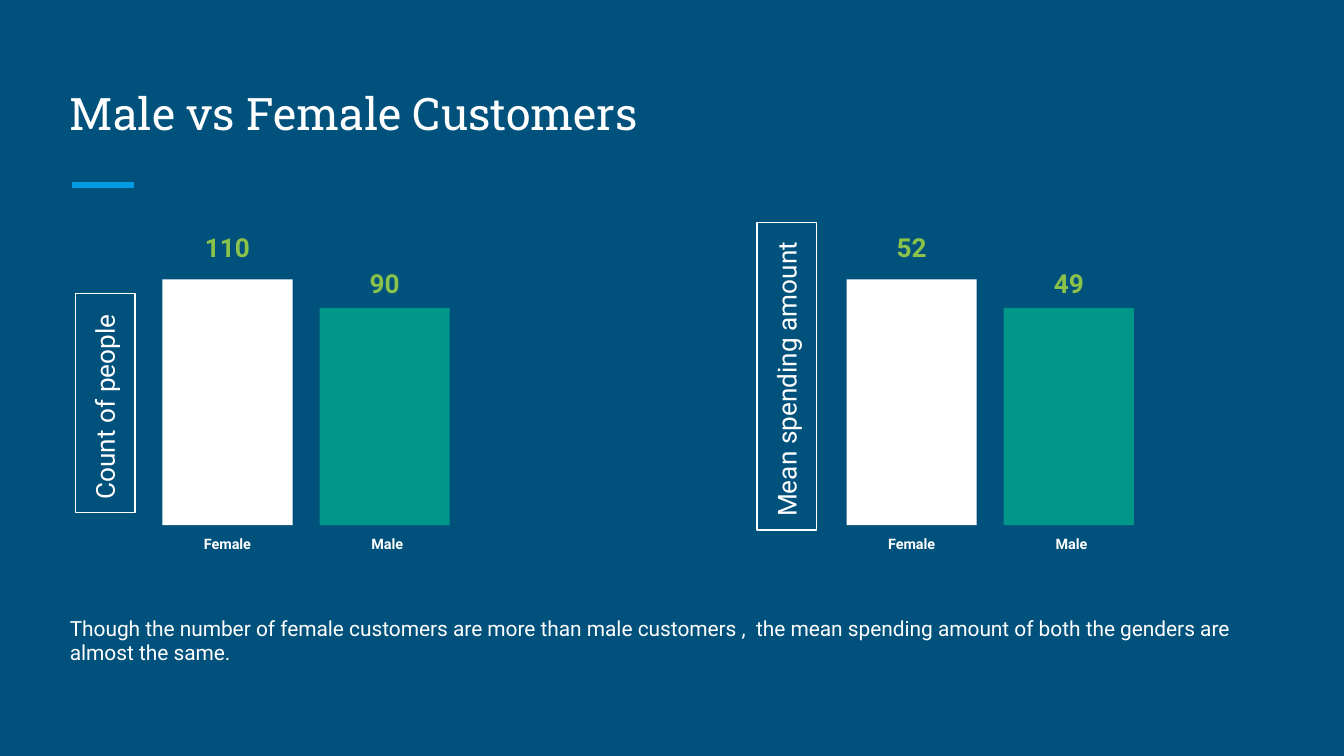
from dataclasses import dataclass

from lxml.etree import SubElement
from pptx import Presentation
from pptx.dml.color import RGBColor
from pptx.enum.shapes import MSO_CONNECTOR, MSO_SHAPE
from pptx.enum.text import MSO_ANCHOR, PP_ALIGN
from pptx.oxml.ns import qn
from pptx.util import Cm, Pt


@dataclass(frozen=True)
class Theme:
    background: str = "00517C"
    text: str = "FFFFFF"
    rule: str = "039BE5"
    value: str = "8BC34A"
    female: str = "FFFFFF"
    male: str = "009688"
    heading_font: str = "Roboto Slab"
    body_font: str = "Roboto"
    title_size: float = 24
    label_size: float = 14
    body_size: float = 11.2
    category_size: float = 7.7


@dataclass(frozen=True)
class Box:
    left: float
    top: float
    width: float
    height: float

    def lengths(self):
        return Cm(self.left), Cm(self.top), Cm(self.width), Cm(self.height)


@dataclass(frozen=True)
class Bar:
    name: str
    value: str
    height: float
    color: str
    value_height: float
    value_overlap: float
    value_spacing: float
    name_shift: float


THEME = Theme()
INSET = 0.25


def write(shape, text, size, color=THEME.text, font=THEME.body_font, bold=False,
          align=PP_ALIGN.LEFT, anchor=MSO_ANCHOR.TOP, spacing=1.0):
    frame = shape.text_frame
    frame.word_wrap = True
    frame.vertical_anchor = anchor
    frame.margin_left = frame.margin_right = Cm(INSET)
    frame.margin_top = frame.margin_bottom = Cm(INSET)
    para = frame.paragraphs[0]
    para.text = text
    para.alignment = align
    para.line_spacing = spacing
    para.font.name = font
    para.font.size = Pt(size)
    para.font.bold = bold
    para.font.color.rgb = RGBColor.from_string(color)
    return para


def add_text(page, box, text, size, **style):
    return write(page.shapes.add_textbox(*box.lengths()), text, size, **style)


def add_heading(page, box):
    add_text(page, box, "Male vs Female Customers", THEME.title_size,
             font=THEME.heading_font, anchor=MSO_ANCHOR.BOTTOM)
    left, top = box.left + 0.3, box.top + 2.51
    rule = page.shapes.add_connector(
        MSO_CONNECTOR.STRAIGHT, Cm(left), Cm(top), Cm(left + 1.17), Cm(top))
    rule.line.color.rgb = RGBColor.from_string(THEME.rule)
    rule.line.width = Pt(3)
    SubElement(rule.element.spPr, qn("a:effectLst"))


def add_axis_label(page, box, text):
    width, height = box.height, box.width
    flat = Box(box.left + (box.width - width) / 2,
               box.top + (box.height - height) / 2, width, height)
    label = page.shapes.add_shape(MSO_SHAPE.RECTANGLE, *flat.lengths())
    label.rotation = 270
    label.shadow.inherit = False
    label.fill.background()
    label.line.color.rgb = RGBColor.from_string(THEME.text)
    label.line.width = Pt(0.75)
    write(label, text, THEME.label_size)


def add_bar_panel(page, box, bars):
    width = 2.46
    step = (box.width - width) / (len(bars) - 1)
    bottom = box.top + box.height
    centered = {"bold": True, "align": PP_ALIGN.CENTER, "anchor": MSO_ANCHOR.MIDDLE}
    for index, bar in enumerate(bars):
        left = box.left + index * step
        top = bottom - bar.height
        column = page.shapes.add_shape(
            MSO_SHAPE.RECTANGLE, *Box(left, top, width, bar.height).lengths())
        column.shadow.inherit = False
        column.fill.solid()
        column.fill.fore_color.rgb = RGBColor.from_string(bar.color)
        column.line.fill.background()
        value_top = top - bar.value_height + bar.value_overlap
        add_text(page, Box(left, value_top, width, bar.value_height), bar.value,
                 THEME.label_size, color=THEME.value, spacing=bar.value_spacing,
                 **centered)
        add_text(page, Box(left + bar.name_shift, bottom - 0.02, width, 0.79),
                 bar.name, THEME.category_size, spacing=0.8, **centered)


def gender_bars(female, male):
    return [Bar("Female", female, 4.65, THEME.female, 1.22, 0, 1.0, 0),
            Bar("Male", male, 4.11, THEME.male, 1.57, 0.38, 0.8, 0.05)]


def add_conclusion(page, box):
    para = add_text(
        page, box,
        "Though the number of female customers are more than male customers ,  "
        "the mean spending amount of both the genders are almost the same.",
        THEME.body_size, spacing=0.95)
    para.space_after = Pt(12)


def main():
    deck = Presentation()
    deck.slide_width, deck.slide_height = Cm(25.4), Cm(14.29)
    page = deck.slides.add_slide(deck.slide_layouts[6])
    page.background.fill.solid()
    page.background.fill.fore_color.rgb = RGBColor.from_string(THEME.background)

    add_heading(page, Box(1.07, 0.99, 23.24, 1.9))
    add_bar_panel(page, Box(3.07, 5.28, 5.43, 4.65), gender_bars("110", "90"))
    add_axis_label(page, Box(1.43, 5.55, 1.12, 4.14), "Count of people")
    add_bar_panel(page, Box(16, 5.28, 5.43, 4.65), gender_bars("52", "49"))
    add_axis_label(page, Box(14.31, 4.2, 1.12, 5.82), "Mean spending amount")
    add_conclusion(page, Box(1.07, 11.43, 23.24, 1.9))
    deck.save("out.pptx")


if __name__ == "__main__":
    main()
